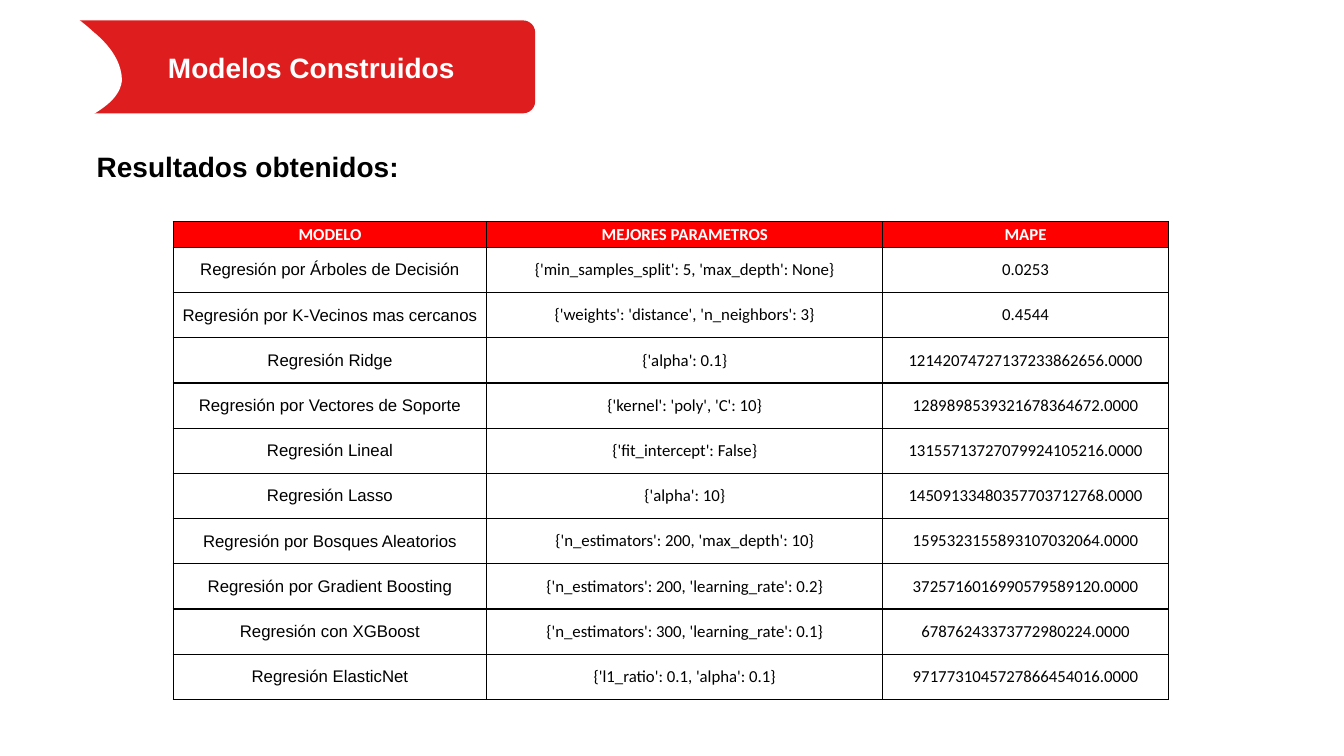
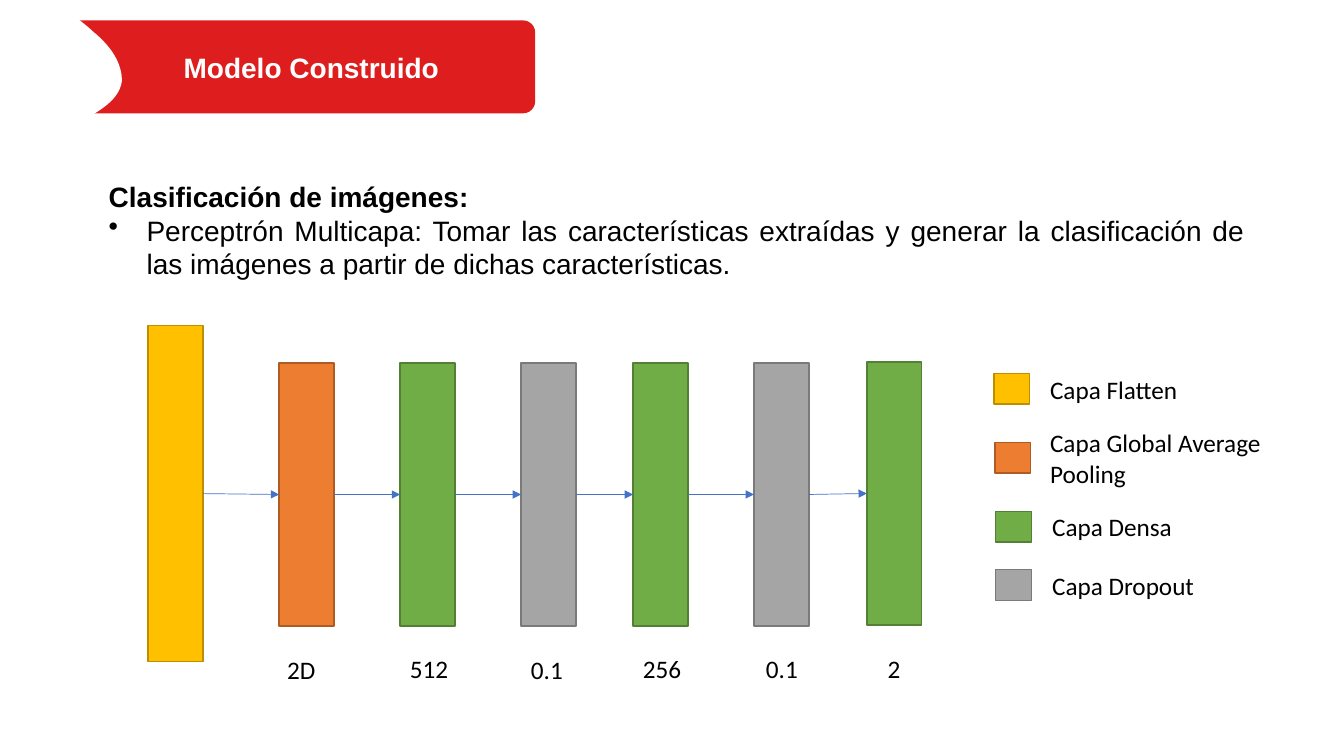
import pptx
import pptx.util
import pptx.dml.color
import pptx.enum.shapes
import pptx.enum.text
import pptx.oxml
import pptx.oxml.ns
from lxml import etree

Pt = pptx.util.Pt
RGB = pptx.dml.color.RGBColor
SHAPE = pptx.enum.shapes.MSO_SHAPE
ALIGN = pptx.enum.text.PP_ALIGN
MIDDLE = pptx.enum.text.MSO_ANCHOR.MIDDLE
qn = pptx.oxml.ns.qn

WHITE = RGB(0xFF, 0xFF, 0xFF)
BLACK = RGB(0x00, 0x00, 0x00)
BAND = RGB(0xDE, 0x1E, 0x1E)
HEAD = RGB(0xFF, 0x00, 0x00)
ARROW = RGB(0x44, 0x72, 0xC4)
# Fill and outline of each kind of layer
YELLOW = RGB(0xFF, 0xC0, 0x00), RGB(0xBD, 0x8E, 0x00)
ORANGE = RGB(0xED, 0x7D, 0x31), RGB(0xAF, 0x5C, 0x24)
GREEN = RGB(0x70, 0xAD, 0x47), RGB(0x53, 0x80, 0x35)
GRAY = RGB(0xA5, 0xA5, 0xA5), RGB(0x7A, 0x7A, 0x7A)

# Bezier nodes of the white bite on the left of the title band
BITE = [
    (28.8, 0.7), (40.3, 1.4), (56.2, 13), (67, 23),
    (74.9, 29.5), (87.1, 41.8), (87.1, 57.6),
    (85.7, 69.8), (74.2, 77), (64.8, 82.8),
    (54, 88.6), (34.6, 92.9), (25.9, 82.1),
    (15.8, 68.4), (11.5, 41.8), (11.5, 24.5),
    (11.5, 8.6), (17.3, 0.7), (28.8, 0.7),
]
STEPS = 12


def add_text(slide, box, lines, size=18, font="Calibri", color=BLACK,
             bold=False, align=ALIGN.LEFT, pad=(7.2, 3.6)):
    frame = slide.shapes.add_textbox(*map(Pt, box)).text_frame
    frame.word_wrap = True
    frame.margin_left = frame.margin_right = Pt(pad[0])
    frame.margin_top = frame.margin_bottom = Pt(pad[1])
    frame.text = "\n".join(lines)
    for para in frame.paragraphs:
        para.alignment = align
        para.font.size = Pt(size)
        para.font.name = font
        para.font.bold = bold
        para.font.color.rgb = color
    return frame


def add_box(slide, box, fill, line=None, kind=SHAPE.RECTANGLE):
    shape = slide.shapes.add_shape(kind, *map(Pt, box))
    shape.shadow.inherit = False
    shape.fill.solid()
    shape.fill.fore_color.rgb = fill
    if line is None:
        shape.line.fill.background()
    else:
        shape.line.color.rgb = line
        shape.line.width = Pt(1)
    return shape


deck = pptx.Presentation()
deck.slide_width, deck.slide_height = Pt(960), Pt(540)

# Title band on every slide
curve = []
for i in range(0, len(BITE) - 1, 3):
    for step in range(1, STEPS + 1):
        t = step / STEPS
        parts = (1 - t) ** 3, 3 * t * (1 - t) ** 2, 3 * t * t * (1 - t), t ** 3
        curve.append(tuple(
            Pt(sum(w * node[axis] for w, node in zip(parts, BITE[i:i + 4])))
            for axis in (0, 1)))

slides = []
for title in ("Modelos Construidos", "Modelo Construido"):
    slide = deck.slides.add_slide(deck.slide_layouts[6])
    slides.append(slide)
    band = add_box(slide, (22.3, 14.6, 360, 66.4), BAND,
                   kind=SHAPE.ROUNDED_RECTANGLE)
    band.adjustments[0] = 0.13
    pen = slide.shapes.build_freeform(*curve[-1])
    pen.add_line_segments(curve)
    bite = pen.convert_to_shape()
    bite.shadow.inherit = False
    bite.fill.solid()
    bite.fill.fore_color.rgb = WHITE
    bite.line.fill.background()
    frame = add_text(slide, (116.6, 36, 211.7, 24.5), [title], 20, "Arial",
                     WHITE, True, ALIGN.CENTER, (0, 0))
    frame.vertical_anchor = MIDDLE
first, second = slides

# Slide 1: table of results
add_text(first, (62, 99.4, 808.6, 60.5), ["Resultados obtenidos:"], 20,
         "Arial", bold=True, align=ALIGN.JUSTIFY, pad=(7.2, 7.2))

ROWS = [
    ("MODELO", "MEJORES PARAMETROS", "MAPE"),
    ("Regresión por Árboles de Decisión",
     "{'min_samples_split': 5, 'max_depth': None}", "0.0253"),
    ("Regresión por K-Vecinos mas cercanos",
     "{'weights': 'distance', 'n_neighbors': 3}", "0.4544"),
    ("Regresión Ridge", "{'alpha': 0.1}", "12142074727137233862656.0000"),
    ("Regresión por Vectores de Soporte", "{'kernel': 'poly', 'C': 10}",
     "1289898539321678364672.0000"),
    ("Regresión Lineal", "{'fit_intercept': False}",
     "13155713727079924105216.0000"),
    ("Regresión Lasso", "{'alpha': 10}", "14509133480357703712768.0000"),
    ("Regresión por Bosques Aleatorios",
     "{'n_estimators': 200, 'max_depth': 10}", "1595323155893107032064.0000"),
    ("Regresión por Gradient Boosting",
     "{'n_estimators': 200, 'learning_rate': 0.2}",
     "3725716016990579589120.0000"),
    ("Regresión con XGBoost", "{'n_estimators': 300, 'learning_rate': 0.1}",
     "67876243373772980224.0000"),
    ("Regresión ElasticNet", "{'l1_ratio': 0.1, 'alpha': 0.1}",
     "9717731045727866454016.0000"),
]
table = first.shapes.add_table(
    len(ROWS), 3, Pt(123.8), Pt(158.3), Pt(710.7), Pt(342)).table
table.first_row = table.horz_banding = False
for col, width in zip(table.columns, (223.9, 283, 203.8)):
    col.width = Pt(width)
for r, row in enumerate(ROWS):
    table.rows[r].height = Pt(32.3 if r else 18.4)
    for c, words in enumerate(row):
        cell = table.cell(r, c)
        cell.text = words
        cell.vertical_anchor = MIDDLE
        cell.margin_left = cell.margin_right = Pt(3.6)
        cell.margin_top = cell.margin_bottom = Pt(1.8)
        para = cell.text_frame.paragraphs[0]
        para.alignment = ALIGN.CENTER
        para.font.size = Pt(12)
        para.font.name = "Arial" if r and c == 0 else "Calibri"
        para.font.bold = r == 0
        para.font.color.rgb = BLACK if r else WHITE
        props = cell._tc.get_or_add_tcPr()
        for side in ("lnL", "lnR", "lnT", "lnB"):
            edge = etree.SubElement(props, qn("a:" + side), w=str(Pt(1)))
            paint = etree.SubElement(edge, qn("a:solidFill"))
            etree.SubElement(paint, qn("a:srgbClr"), val=str(BLACK))
        if r:
            cell.fill.background()
        else:
            cell.fill.solid()
            cell.fill.fore_color.rgb = HEAD

# Slide 2: description
frame = add_text(
    second, (70.6, 121, 825.8, 111.6),
    ["Clasificación de imágenes:",
     "Perceptrón Multicapa: Tomar las características extraídas y generar "
     "la clasificación de las imágenes a partir de dichas características."],
    20, "Arial", align=ALIGN.JUSTIFY, pad=(7.2, 7.2))
lead, point = frame.paragraphs
lead.font.bold = True
props = point._p.get_or_add_pPr()
props.set("marL", str(Pt(27)))
props.set("indent", str(Pt(-27)))
mark = etree.Element(qn("a:buChar"), char="•")
props.insert_element_before(mark, "a:tabLst", "a:defRPr", "a:extLst")

# Network layers: left, top, height, colours, label, label left, label top
LAYERS = [
    (105.8, 232.6, 240, YELLOW, None, 0, 0),
    (199.4, 259.2, 188, ORANGE, "2D", 198, 464),
    (285.8, 259.2, 188, GREEN, "512", 285.8, 463),
    (372.2, 259.2, 188, GRAY, "0.1", 372.2, 464),
    (452.2, 259.2, 188, GREEN, "256", 452.2, 463),
    (538.6, 259.2, 188, GRAY, "0.1", 540, 463),
    (619.2, 258.5, 188, GREEN, "2", 627, 463),
]
layers = []
for left, top, height, (fill, line), label, x, y in LAYERS:
    layers.append(add_box(second, (left, top, 39.2, height), fill, line))
    if label:
        add_text(second, (x, y, 50, 29), [label])

for start, end in zip(layers, layers[1:]):
    arrow = second.shapes.add_connector(
        pptx.enum.shapes.MSO_CONNECTOR.STRAIGHT, 0, 0, 0, 0)
    arrow.begin_connect(start, 3)
    arrow.end_connect(end, 1)
    arrow.line.color.rgb = ARROW
    arrow.line.width = Pt(0.5)
    etree.SubElement(arrow.line._get_or_add_ln(), qn("a:tailEnd"),
                     type="triangle")
    etree.SubElement(arrow._element.spPr, qn("a:effectLst"))

# Legend: swatch left and top, colours, text left and top, lines
LEGEND = [
    (710, 266.6, YELLOW, 743, 263.5, ["Capa Flatten"]),
    (710.7, 316, ORANGE, 743, 301.9, ["Capa Global Average", "Pooling"]),
    (711.2, 365.3, GREEN, 744.5, 361.8, ["Capa Densa"]),
    (711.2, 407, GRAY, 744.5, 403.5, ["Capa Dropout"]),
]
for left, top, (fill, line), x, y, lines in LEGEND:
    add_box(second, (left, top, 25.5, 21.9), fill, line)
    add_text(second, (x, y, 175, 29 * len(lines)), lines)

deck.save("out.pptx")
